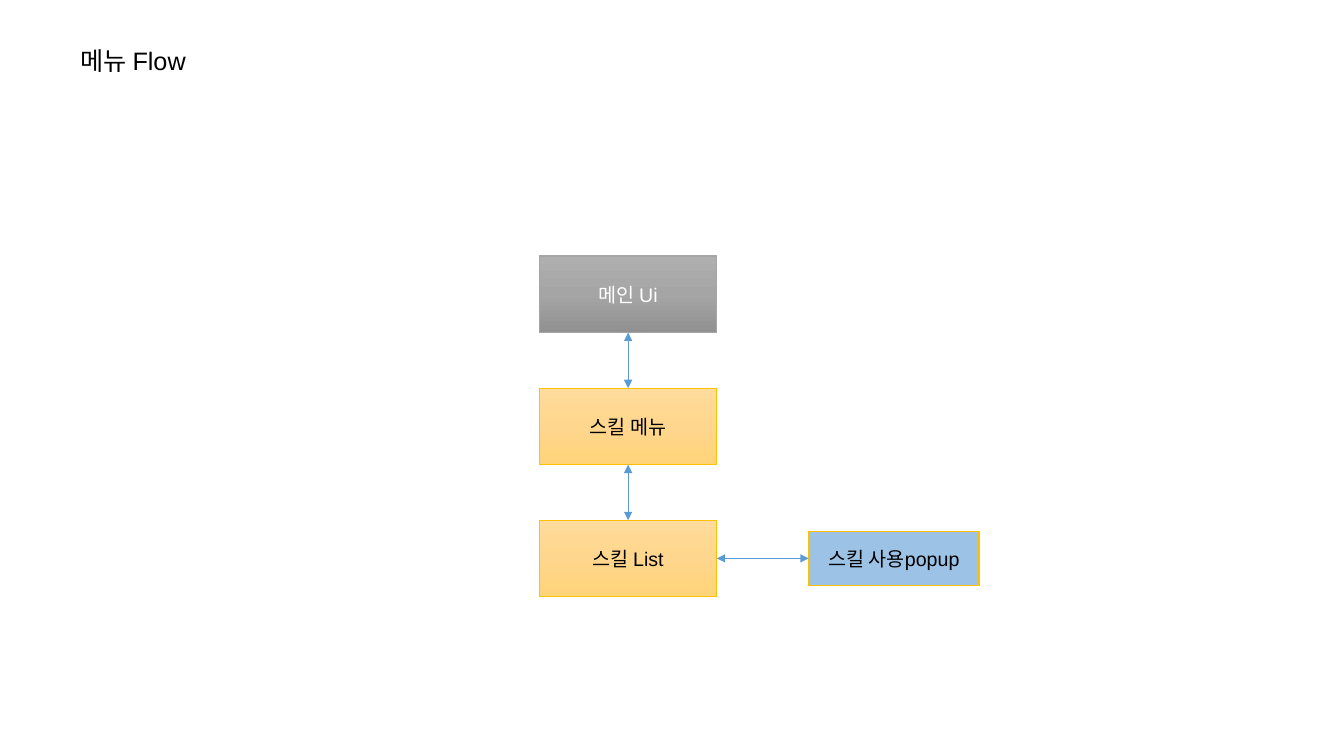
from copy import deepcopy

from lxml import etree
from pptx import Presentation
from pptx.dml.color import RGBColor
from pptx.enum.shapes import MSO_CONNECTOR, MSO_SHAPE
from pptx.enum.text import MSO_ANCHOR, PP_ALIGN
from pptx.oxml.ns import qn
from pptx.util import Inches, Pt

RECTANGLE = MSO_SHAPE.RECTANGLE
STRAIGHT = MSO_CONNECTOR.STRAIGHT
MIDDLE = MSO_ANCHOR.MIDDLE
LEFT, CENTER = PP_ALIGN.LEFT, PP_ALIGN.CENTER
TOP_SITE, LEFT_SITE, BOTTOM_SITE, RIGHT_SITE = range(4)

TITLE = "메뉴 Flow"
MENU_STEPS = [("메인 Ui", "main"), ("스킬 메뉴", "skill"), ("스킬 List", "skill")]
POPUP = "스킬 사용popup"

COLORS = {
    "black": "000000",
    "white": "FFFFFF",
    "gray": "A5A5A5",
    "gold": "FFC000",
    "blue": "5B9BD5",
    "light blue": "9CC2E5",
}
STYLES = {
    "main": {"fill": ["AFAFAF", "A5A5A5", "919191"], "line": "gray", "text": "white"},
    "skill": {"fill": ["FFDC9B", "FFD68D", "FFD478"], "line": "gold", "text": "black"},
    "popup": {"fill": [COLORS["light blue"]], "line": "gold", "text": "black"},
}

SLIDE_WIDTH, SLIDE_HEIGHT = 13.33, 7.5
STEP_LEFT, STEP_TOP = 5.35, 2.54
STEP_WIDTH, STEP_HEIGHT, STEP_GAP = 1.76, 0.76, 0.55
POPUP_WIDTH, POPUP_HEIGHT, POPUP_GAP = 1.69, 0.53, 0.91


def write_text(frame, text, size, color="black", align=LEFT):
    paragraph = frame.paragraphs[0]
    paragraph.alignment = align
    run = paragraph.add_run()
    run.text = text
    run.font.name = "Arial"
    run.font.size = Pt(size)
    run.font.color.rgb = RGBColor.from_string(COLORS[color])


def fill_shape(fill, colors):
    if len(colors) == 1:
        fill.solid()
        fill.fore_color.rgb = RGBColor.from_string(colors[0])
        return
    fill.gradient()
    fill.gradient_angle = 270
    first_stop = fill.gradient_stops[0]._gs
    first_stop.addnext(deepcopy(first_stop))
    for index, (stop, color) in enumerate(zip(fill.gradient_stops, colors)):
        stop.position = index / (len(colors) - 1)
        stop.color.rgb = RGBColor.from_string(color)


def add_box(slide, text, style_name, left, top, width, height):
    style = STYLES[style_name]
    box = slide.shapes.add_shape(
        RECTANGLE, Inches(left), Inches(top), Inches(width), Inches(height)
    )
    box.shadow.inherit = False
    fill_shape(box.fill, style["fill"])
    box.line.color.rgb = RGBColor.from_string(COLORS[style["line"]])
    box.line.width = Pt(0.75)
    box.text_frame.vertical_anchor = MIDDLE
    box.text_frame.word_wrap = True
    write_text(box.text_frame, text, 14, style["text"], CENTER)
    return box


def add_double_arrow(slide, start, start_site, end, end_site):
    arrow = slide.shapes.add_connector(STRAIGHT, 0, 0, 0, 0)
    arrow.begin_connect(start, start_site)
    arrow.end_connect(end, end_site)
    arrow.line.color.rgb = RGBColor.from_string(COLORS["blue"])
    arrow.line.width = Pt(0.75)
    line = arrow.line._get_or_add_ln()
    for tag in ("a:headEnd", "a:tailEnd"):
        etree.SubElement(line, qn(tag), type="triangle")
    etree.SubElement(arrow._element.spPr, qn("a:effectLst"))


def main():
    presentation = Presentation()
    presentation.slide_width = Inches(SLIDE_WIDTH)
    presentation.slide_height = Inches(SLIDE_HEIGHT)
    slide = presentation.slides.add_slide(presentation.slide_layouts[6])

    title = slide.shapes.add_textbox(Inches(0.7), Inches(0.4), Inches(1.32), Inches(0.4))
    title.text_frame.word_wrap = True
    write_text(title.text_frame, TITLE, 18)

    steps = []
    for row, (text, style_name) in enumerate(MENU_STEPS):
        top = STEP_TOP + row * (STEP_HEIGHT + STEP_GAP)
        steps.append(
            add_box(slide, text, style_name, STEP_LEFT, top, STEP_WIDTH, STEP_HEIGHT)
        )
    for upper, lower in zip(steps, steps[1:]):
        add_double_arrow(slide, lower, TOP_SITE, upper, BOTTOM_SITE)

    popup_left = STEP_LEFT + STEP_WIDTH + POPUP_GAP
    popup_top = top + (STEP_HEIGHT - POPUP_HEIGHT) / 2
    popup = add_box(
        slide, POPUP, "popup", popup_left, popup_top, POPUP_WIDTH, POPUP_HEIGHT
    )
    add_double_arrow(slide, steps[-1], RIGHT_SITE, popup, LEFT_SITE)

    presentation.save("out.pptx")


if __name__ == "__main__":
    main()
